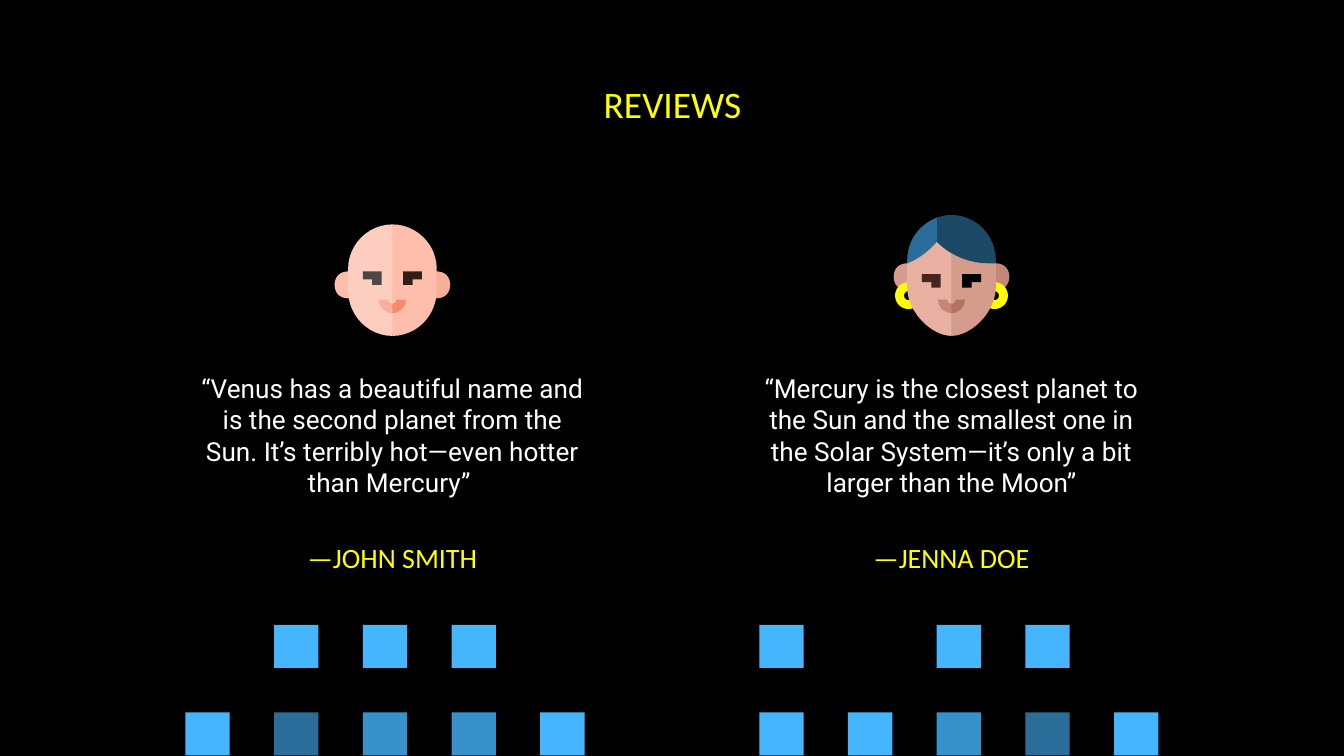
import pptx
import pptx.util
import pptx.dml.color
import pptx.enum.shapes
import pptx.enum.text

SLIDE_W = 10
SLIDE_H = SLIDE_W * 9 / 16
PITCH, TILE_W, TILE_H = 0.66, 0.33, 0.32
ROW_TOPS = (4.65, 5.3)
CURVE_STEPS = 12

COLORS = {
    "background": "000000", "text": "FFFFFF", "accent": "FFFF00",
    "light": "45B6FE", "mid": "3792CB", "dark": "296D98", "navy": "1C4966",
}
TILES = {
    1.38: ({1: "light", 2: "light", 3: "light"},
           {0: "light", 1: "dark", 2: "mid", 3: "mid", 4: "light"}),
    5.65: ({0: "light", 2: "light", 3: "light"},
           {0: "light", 1: "light", 2: "mid", 3: "dark", 4: "light"}),
}
EAR = [(-0.33, 0), (-0.39, 0, -0.43, 0.04, -0.43, 0.1),
       (-0.43, 0.16, -0.39, 0.2, -0.33, 0.2), (-0.26, 0.2), (-0.26, 0)]
EYE = [(-0.22, 0), (-0.22, 0.06), (-0.15, 0.06), (-0.15, 0.1), (-0.08, 0.1), (-0.08, 0)]
SMILE = [(0, 0.03), (-0.02, 0.03, -0.03, 0.02, -0.03, 0), (-0.1, 0),
         (-0.1, 0.05, -0.06, 0.1, 0, 0.1)]
ROUND_HEAD = [(0, 1.67), (-0.18, 1.67, -0.33, 1.82, -0.33, 2), (-0.33, 2.16),
              (-0.33, 2.35, -0.18, 2.5, 0, 2.5)]
POINTED_HEAD = [(0, 1.73), (-0.11, 1.73), (-0.33, 1.96), (-0.33, 2.14),
                (-0.33, 2.32, -0.15, 2.5, 0, 2.5)]
HAIR_RIGHT = [(0, 1.6), (-0.04, 1.6, -0.08, 1.61, -0.11, 1.62), (-0.11, 1.8),
              (-0.01, 1.9, 0.13, 1.96, 0.28, 1.96), (0.33, 1.96), (0.33, 1.94),
              (0.33, 1.75, 0.18, 1.6, 0, 1.6)]
HAIR_LEFT = [(-0.11, 1.62), (-0.24, 1.67, -0.33, 1.79, -0.33, 1.94), (-0.33, 1.96),
             (-0.25, 1.93, -0.17, 1.87, -0.11, 1.8)]


def rgb(color):
    return pptx.dml.color.RGBColor.from_string(COLORS.get(color, color))


def paint(s, color):
    s.shadow.inherit = False
    s.fill.solid()
    s.fill.fore_color.rgb = rgb(color)
    s.line.fill.background()


def flatten(path):
    points = [path[0]]
    for step in path[1:]:
        if len(step) == 2:
            points.append(step)
            continue
        controls = [points[-1], step[:2], step[2:4], step[4:]]
        for i in range(1, CURVE_STEPS + 1):
            t = i / CURVE_STEPS
            weights = ((1 - t) ** 3, 3 * t * (1 - t) ** 2, 3 * t * t * (1 - t), t ** 3)
            points.append(tuple(sum(w * c[axis] for w, c in zip(weights, controls))
                                for axis in (0, 1)))
    return points


def add_outline(shapes, path, center, top, color, side=1):
    points = [(pptx.util.Inches(center + side * x), pptx.util.Inches(top + y))
              for x, y in flatten(path)]
    builder = shapes.build_freeform(*points[0], scale=1.0)
    builder.add_line_segments(points[1:], close=True)
    paint(builder.convert_to_shape(), color)


def add_pair(shapes, path, center, top, colors, overlap=()):
    add_outline(shapes, [*path, *overlap], center, top, colors[0])
    add_outline(shapes, path, center, top, colors[1], side=-1)


def add_preset(shapes, kind, x, y, w, h, color):
    s = shapes.add_shape(kind, *map(pptx.util.Inches, (x, y, w, h)))
    paint(s, color)
    return s


def add_text(slide, text, x, y, w, h, size, font, color, middle=True):
    s = slide.shapes.add_textbox(*map(pptx.util.Inches, (x, y, w, h)))
    tf = s.text_frame
    tf.word_wrap = True
    tf.margin_left = tf.margin_right = pptx.util.Inches(0.1)
    tf.margin_top = tf.margin_bottom = pptx.util.Inches(0.1)
    anchor = pptx.enum.text.MSO_ANCHOR
    tf.vertical_anchor = anchor.MIDDLE if middle else anchor.TOP
    p = tf.paragraphs[0]
    p.text = text
    p.alignment = pptx.enum.text.PP_ALIGN.CENTER
    p.font.size = pptx.util.Pt(size)
    p.font.name = font
    p.font.color.rgb = rgb(color)


def add_tiles(slide):
    kind = pptx.enum.shapes.MSO_SHAPE.RECTANGLE
    for left, rows in TILES.items():
        for top, row in zip(ROW_TOPS, rows):
            for column, color in row.items():
                add_preset(slide.shapes, kind, left + column * PITCH, top, TILE_W, TILE_H, color)


def add_earrings(shapes, center):
    for offset in (-0.32, 0.32):
        s = add_preset(shapes, pptx.enum.shapes.MSO_SHAPE.DONUT,
                       center + offset - 0.1, 2.1, 0.2, 0.2, "accent")
        s.adjustments[0] = 0.33


def add_face(slide, center, head, feature_top, ears, skin, eyes, lips, styled=False):
    shapes = slide.shapes.add_group_shape().shapes
    add_pair(shapes, EAR, center, feature_top[0], ears)
    if styled:
        add_earrings(shapes, center)
    add_pair(shapes, head, center, 0, skin, overlap=[(0.05, 2.08)])
    add_pair(shapes, EYE, center, feature_top[1], eyes)
    add_pair(shapes, SMILE, center, 2.23, lips, overlap=[(0.02, 0.06)])
    if styled:
        add_outline(shapes, HAIR_RIGHT, center, 0, "navy")
        add_outline(shapes, HAIR_LEFT, center, 0, "dark")


def add_review(slide, center, quote, name):
    add_text(slide, quote, center - 1.52, 2.67, 3.04, 1.19, 14, "Roboto", "text", middle=False)
    add_text(slide, name, center - 1.63, 3.96, 3.26, 0.37, 15, "Calibri", "accent")


def main():
    prs = pptx.Presentation()
    prs.slide_width = pptx.util.Inches(SLIDE_W)
    prs.slide_height = pptx.util.Inches(SLIDE_H)
    slide = prs.slides.add_slide(prs.slide_layouts[6])
    slide.background.fill.solid()
    slide.background.fill.fore_color.rgb = rgb("background")

    add_tiles(slide)
    add_text(slide, "REVIEWS", 0.79, 0.59, 8.43, 0.36, 20, "Calibri", "accent")
    left, right = 2.92, 7.08
    add_review(slide, left, "“Venus has a beautiful name and is the second planet from the Sun. "
               "It’s terribly hot—even hotter than Mercury” ", "—JOHN SMITH")
    add_review(slide, right, "“Mercury is the closest planet to the Sun and the smallest one in "
               "the Solar System—it’s only a bit larger than the Moon”", "—JENNA DOE")
    add_face(slide, left, ROUND_HEAD, (2.02, 2.02), ("FFBEAB", "F7AF99"),
             ("FDCDBF", "FFBEAB"), ("4C4645", "331D17"), ("F7AF99", "F88A6B"))
    add_face(slide, right, POINTED_HEAD, (1.96, 2.04), ("D59C8B", "C48776"),
             ("E7B0A0", "D59C8B"), ("44261D", "000000"), ("C48776", "B27361"), styled=True)
    prs.save("out.pptx")


if __name__ == "__main__":
    main()
